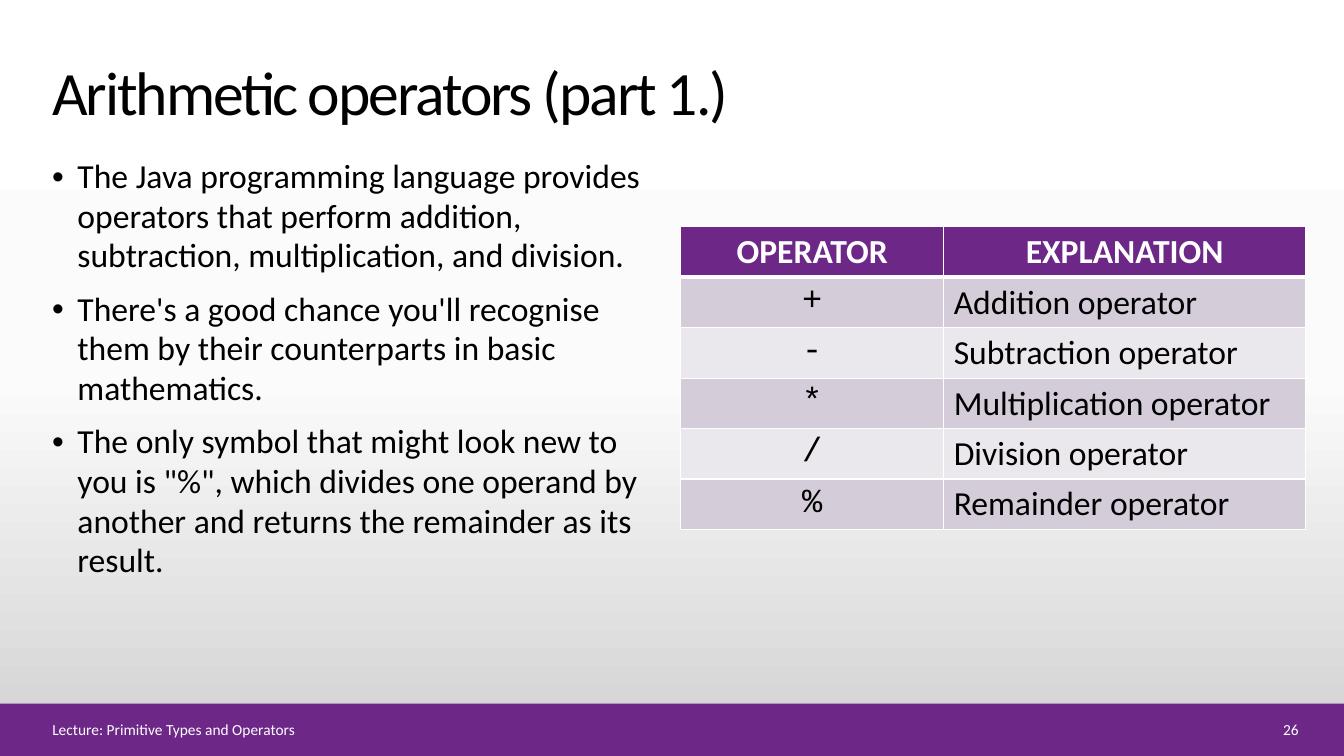
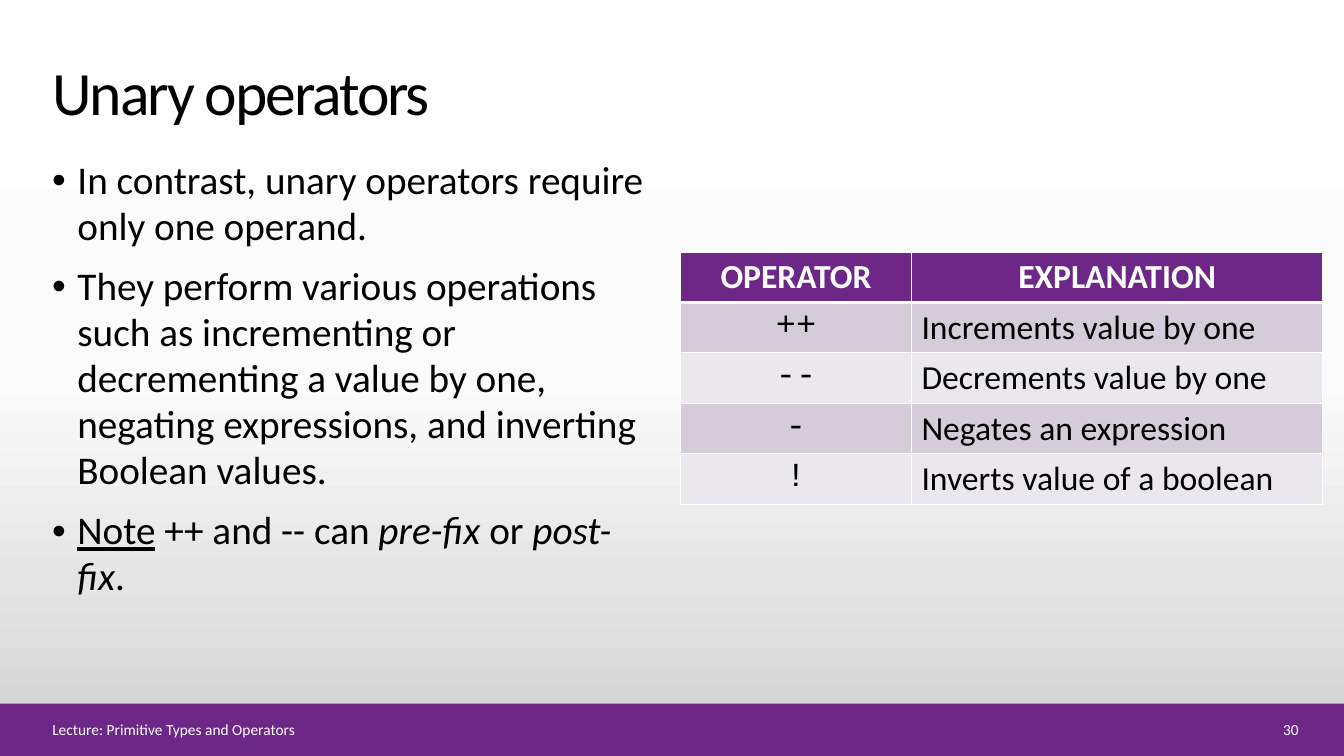
from copy import deepcopy

from lxml import etree
from pptx import Presentation
from pptx.dml.color import RGBColor
from pptx.enum.shapes import MSO_SHAPE as Shape
from pptx.enum.text import MSO_ANCHOR as Anchor, PP_ALIGN as Align
from pptx.oxml.ns import qn
from pptx.util import Inches, Pt

PURPLE, BLACK, WHITE = "6C2787", "000000", "FFFFFF"
ROW_FILLS = ["D4CDD9", "EBE8ED"]
BACKGROUND_STOPS = [(0, "FFFFFF"), (0.5, "FBFBFB"), (1, "D1D1D1")]
TEXT_FONT, CODE_FONT = "Calibri", "Courier New"
FOOTER = "Lecture: Primitive Types and Operators"
HEADINGS = ("OPERATOR", "EXPLANATION")
LEFT, TABLE_LEFT, ROW_HEIGHT = 0.42, 6.75, 0.5

# Each paragraph is a list of (text, style) runs
SLIDES = [
    {
        "title": "Arithmetic operators (part 1.)",
        "number": "26",
        "size": 24,
        "body": [
            [("The Java programming language provides operators that perform "
              "addition, subtraction, multiplication, and division.", "")],
            [("There's a good chance you'll recognise them by their "
              "counterparts in basic mathematics.", "")],
            [("The only symbol that might look new to you is \"%\", which "
              "divides one operand by another and returns the remainder as "
              "its result.", "")],
        ],
        "table_top": 2.25,
        "columns": (2.61, 3.59),
        "operators": [
            ("+", "Addition operator"),
            ("-", "Subtraction operator"),
            ("*", "Multiplication operator"),
            ("/", "Division operator"),
            ("%", "Remainder operator"),
        ],
    },
    {
        "title": "Unary operators",
        "number": "30",
        "size": 28,
        "body": [
            [("In contrast, unary operators require only one operand.", "")],
            [("They perform various operations such as incrementing or "
              "decrementing a value by one, negating expressions, and "
              "inverting Boolean values.", "")],
            [("Note", "underline"), (" ++ and -- can ", ""),
             ("pre-fix", "italic"), (" or ", ""),
             ("post-fix", "italic"), (".", "")],
        ],
        "table_top": 2.5,
        "columns": (2.29, 4.08),
        "operators": [
            ("++", "Increments value by one"),
            ("--", "Decrements value by one"),
            ("-", "Negates an expression"),
            ("!", "Inverts value of a boolean"),
        ],
    },
]


def rgb(code):
    return RGBColor.from_string(code)


def add_text(page, at, paragraphs, size, color, anchor=Anchor.TOP, inset=0):
    """Add a wrapped text box and return its paragraphs."""
    frame = page.shapes.add_textbox(*map(Inches, at)).text_frame
    frame.word_wrap = True
    frame.vertical_anchor = anchor
    frame.margin_top = frame.margin_bottom = Inches(inset)
    for index, runs in enumerate(paragraphs):
        para = frame.add_paragraph() if index else frame.paragraphs[0]
        para.font.name, para.font.size = TEXT_FONT, Pt(size)
        para.font.color.rgb = rgb(color)
        for text, style in runs:
            span = para.add_run()
            span.text = text
            if style:
                setattr(span.font, style, True)
    return frame.paragraphs


deck = Presentation()
deck.slide_width, deck.slide_height = Inches(13.33), Inches(7.5)

# Background gradient shared through the master
fill = deck.slide_master.background.fill
fill.gradient()
fill.gradient_angle = 270
stop_list = next(deck.slide_master.element.iter(qn("a:gsLst")))
stop_list.append(deepcopy(stop_list[-1]))
for stop, (position, color) in zip(fill.gradient_stops, BACKGROUND_STOPS):
    stop.position = position
    stop.color.rgb = rgb(color)

for content in SLIDES:
    page = deck.slides.add_slide(deck.slide_layouts[6])

    # Footer band
    band = page.shapes.add_shape(
        Shape.RECTANGLE, 0, Inches(6.98), deck.slide_width, Inches(0.52))
    band.shadow.inherit = False
    band.fill.solid()
    band.fill.fore_color.rgb = rgb(PURPLE)
    band.line.fill.background()

    # Title
    [title] = add_text(page, (LEFT, 0.4, 10.39, 0.87),
                       [[(content["title"], "")]], 44, BLACK, Anchor.BOTTOM)
    title.runs[0].font._element.set("spc", "-150")

    # Bulleted body
    for para in add_text(page, (LEFT, 1.51, 6.16, 5.25), content["body"],
                         content["size"], BLACK, inset=0.05):
        para.space_before = Pt(10)
        para.line_spacing = 0.98
        properties = para._p.get_or_add_pPr()
        properties.set("marL", str(Inches(0.25)))
        properties.set("indent", str(-Inches(0.25)))
        bullet_font = etree.Element(qn("a:buFont"), typeface="Arial")
        bullet = etree.Element(qn("a:buChar"), char="•")
        spacing = properties.find(qn("a:spcBef"))
        spacing.addnext(bullet_font)
        bullet_font.addnext(bullet)

    # Operator table
    rows = [HEADINGS] + content["operators"]
    table = page.shapes.add_table(
        len(rows), 2, Inches(TABLE_LEFT), Inches(content["table_top"]),
        Inches(sum(content["columns"])), Inches(ROW_HEIGHT * len(rows))).table
    table.horz_banding = False
    for column, width in zip(table.columns, content["columns"]):
        column.width = Inches(width)
    for row_index, row in enumerate(rows):
        header = row_index == 0
        for column_index, text in enumerate(row):
            cell = table.cell(row_index, column_index)
            cell.text = text
            para = cell.text_frame.paragraphs[0]
            para.space_before = Pt(4)
            centred = header or column_index == 0
            para.alignment = Align.CENTER if centred else Align.LEFT
            is_code = column_index == 0 and not header
            para.font.name = CODE_FONT if is_code else TEXT_FONT
            para.font.size, para.font.bold = Pt(24), header
            para.font.color.rgb = rgb(WHITE if header else BLACK)

            # White borders, heavier under the header
            cell_properties = cell._tc.get_or_add_tcPr()
            for side in ("L", "R", "T", "B"):
                heavy = (header and side == "B") or (row_index == 1 and side == "T")
                border = etree.SubElement(cell_properties, qn("a:ln" + side),
                                          w=str(Pt(3 if heavy else 1)))
                paint = etree.SubElement(border, qn("a:solidFill"))
                etree.SubElement(paint, qn("a:srgbClr"), val=WHITE)
            cell.fill.solid()
            cell.fill.fore_color.rgb = rgb(
                PURPLE if header else ROW_FILLS[(row_index - 1) % 2])

    # Page number and footer
    [number] = add_text(page, (12.23, 7.12, 0.75, 0.23),
                        [[(content["number"], "")]], 11, WHITE, Anchor.MIDDLE)
    number.alignment = Align.RIGHT
    add_text(page, (LEFT, 7.12, 11.65, 0.23), [[(FOOTER, "")]],
             11, WHITE, Anchor.MIDDLE)

deck.save("out.pptx")
